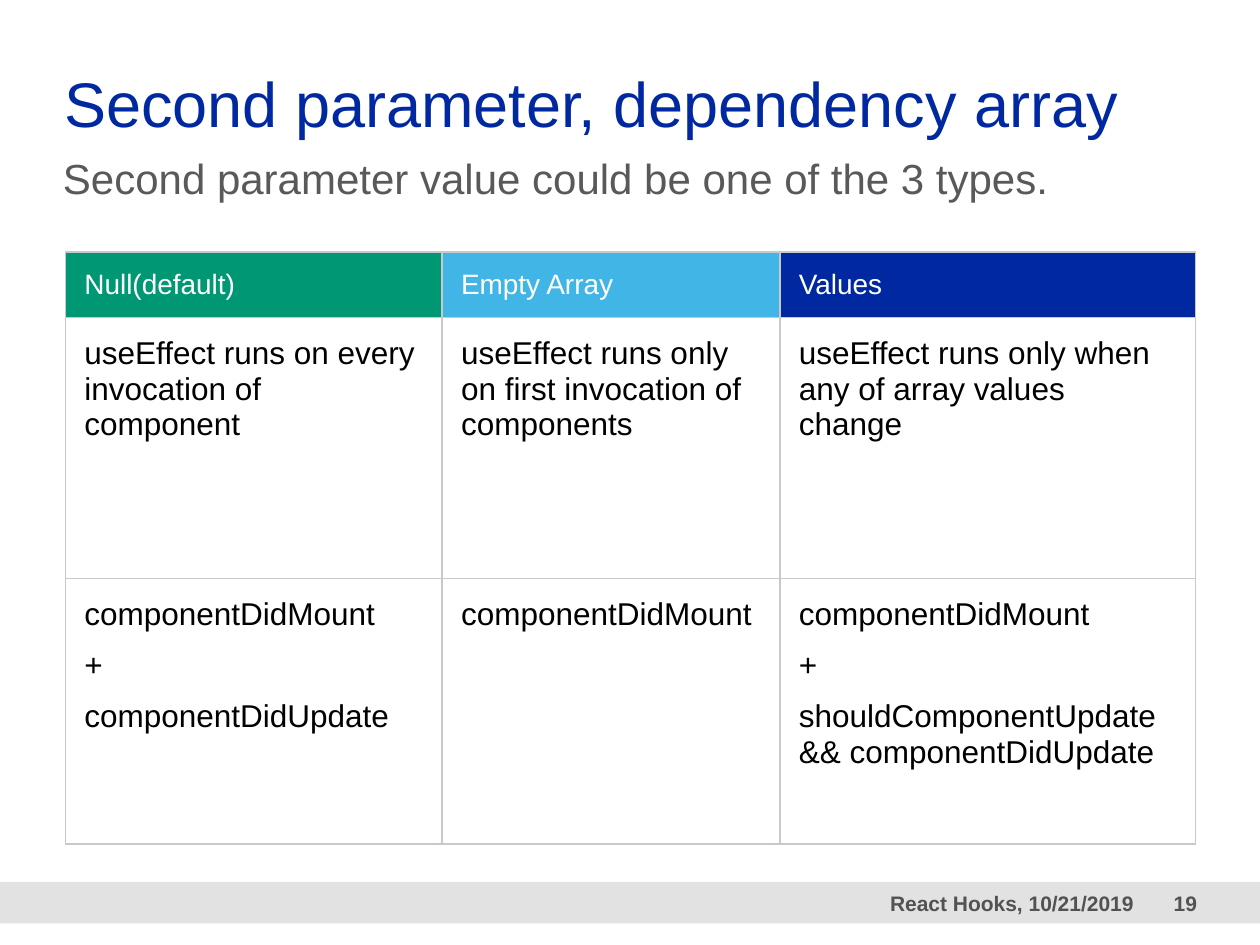
import pptx
import pptx.dml.color
import pptx.enum.shapes
import pptx.enum.text
import pptx.oxml
import pptx.util
from lxml import etree

Inches = pptx.util.Inches
Pt = pptx.util.Pt
RGBColor = pptx.dml.color.RGBColor
Anchor = pptx.enum.text.MSO_ANCHOR
Align = pptx.enum.text.PP_ALIGN

BLUE = RGBColor(0x00, 0x28, 0xA0)
GREEN = RGBColor(0x00, 0x97, 0x75)
SKY = RGBColor(0x41, 0xB6, 0xE6)
WHITE = RGBColor(0xFF, 0xFF, 0xFF)
BLACK = RGBColor(0x00, 0x00, 0x00)
GRAY = RGBColor(0x59, 0x59, 0x59)
FOOTER_TEXT = RGBColor(0x52, 0x52, 0x52)
FOOTER_BAND = RGBColor(0xE2, 0xE2, 0xE2)
BORDER = RGBColor(0xC8, 0xC9, 0xCA)

TITLE = "Second parameter, dependency array"
SUBTITLE = "Second parameter value could be one of the 3 types."
FOOTER = "React Hooks, 10/21/2019"
PAGE = "19"

# Each column: header, header colour, width, effect, lifecycle equivalents
COLUMNS = [
    ("Null(default)", GREEN, 2.99, "useEffect runs on every invocation of component",
     ["componentDidMount", "+", "componentDidUpdate"]),
    ("Empty Array", SKY, 2.68, "useEffect runs only on first invocation of components",
     ["componentDidMount"]),
    ("Values", BLUE, 3.3, "useEffect runs only when any of array values change",
     ["componentDidMount", "+", "shouldComponentUpdate && componentDidUpdate"]),
]
ROW_HEIGHTS = [0.52, 2.07, 2.11]
TABLE_LEFT, TABLE_TOP = 0.52, 2
FOOTER_TOP, FOOTER_HEIGHT = 7, 0.33


def add_run(paragraph, text, size, color, bold=False):
    run = paragraph.add_run()
    run.text = text
    run.font.name = "Arial"
    run.font.size = Pt(size)
    run.font.bold = bold
    run.font.color.rgb = color


def add_text(slide, box, text, size, color, anchor, align=Align.LEFT, bold=False):
    frame = slide.shapes.add_textbox(*map(Inches, box)).text_frame
    frame.word_wrap = True
    frame.margin_left = frame.margin_right = frame.margin_top = frame.margin_bottom = 0
    frame.vertical_anchor = anchor
    paragraph = frame.paragraphs[0]
    paragraph.alignment = align
    add_run(paragraph, text, size, color, bold)


def add_borders(cell):
    """Put the border lines before the cell's fill, as the schema asks."""
    properties = cell._tc.get_or_add_tcPr()
    for position, side in enumerate(("lnL", "lnR", "lnT", "lnB")):
        line = etree.Element(pptx.oxml.ns.qn(f"a:{side}"), w=str(Pt(1)))
        fill = etree.SubElement(line, pptx.oxml.ns.qn("a:solidFill"))
        etree.SubElement(fill, pptx.oxml.ns.qn("a:srgbClr"), val=str(BORDER))
        properties.insert(position, line)


def fill_cell(cell, lines, fill, size, color, margin, anchor):
    cell.fill.solid()
    cell.fill.fore_color.rgb = fill
    cell.margin_left = cell.margin_right = Inches(0.15)
    cell.margin_top = cell.margin_bottom = Inches(margin)
    cell.vertical_anchor = anchor
    frame = cell.text_frame
    for index, line in enumerate(lines):
        paragraph = frame.add_paragraph() if index else frame.paragraphs[0]
        if len(lines) > 1:
            paragraph.space_after = Pt(9)
        add_run(paragraph, line, size, color)
    add_borders(cell)


def add_comparison(slide):
    widths = [column[2] for column in COLUMNS]
    table = slide.shapes.add_table(
        len(ROW_HEIGHTS), len(COLUMNS), Inches(TABLE_LEFT), Inches(TABLE_TOP),
        Inches(sum(widths)), Inches(sum(ROW_HEIGHTS))).table
    table.horz_banding = False
    for row, height in zip(table.rows, ROW_HEIGHTS):
        row.height = Inches(height)
    for index, (header, color, width, effect, lifecycle) in enumerate(COLUMNS):
        table.columns[index].width = Inches(width)
        fill_cell(table.cell(0, index), [header], color, 16, WHITE, 0.05, Anchor.MIDDLE)
        for row, lines in enumerate(([effect], lifecycle), start=1):
            fill_cell(table.cell(row, index), lines, WHITE, 18, BLACK, 0.15, Anchor.TOP)


def add_footer(slide):
    band = slide.shapes.add_shape(
        pptx.enum.shapes.MSO_SHAPE.RECTANGLE,
        *map(Inches, (0, FOOTER_TOP, 10, FOOTER_HEIGHT)))
    band.shadow.inherit = False
    band.fill.solid()
    band.fill.fore_color.rgb = FOOTER_BAND
    band.line.fill.background()
    for text, left, width in ((FOOTER, 4.56, 4.44), (PAGE, 9, 0.5)):
        add_text(slide, (left, FOOTER_TOP, width, FOOTER_HEIGHT), text, 12,
                 FOOTER_TEXT, Anchor.MIDDLE, Align.RIGHT, bold=True)


def main():
    deck = pptx.Presentation()
    deck.slide_width, deck.slide_height = Inches(10), Inches(7.5)
    slide = deck.slides.add_slide(deck.slide_layouts[6])
    add_footer(slide)
    add_text(slide, (0.51, 0.5, 8.98, 0.61), TITLE, 36, BLUE, Anchor.BOTTOM)
    add_text(slide, (0.5, 1.17, 9, 0.48), SUBTITLE, 24, GRAY, Anchor.MIDDLE)
    add_comparison(slide)
    deck.save("out.pptx")


if __name__ == "__main__":
    main()
